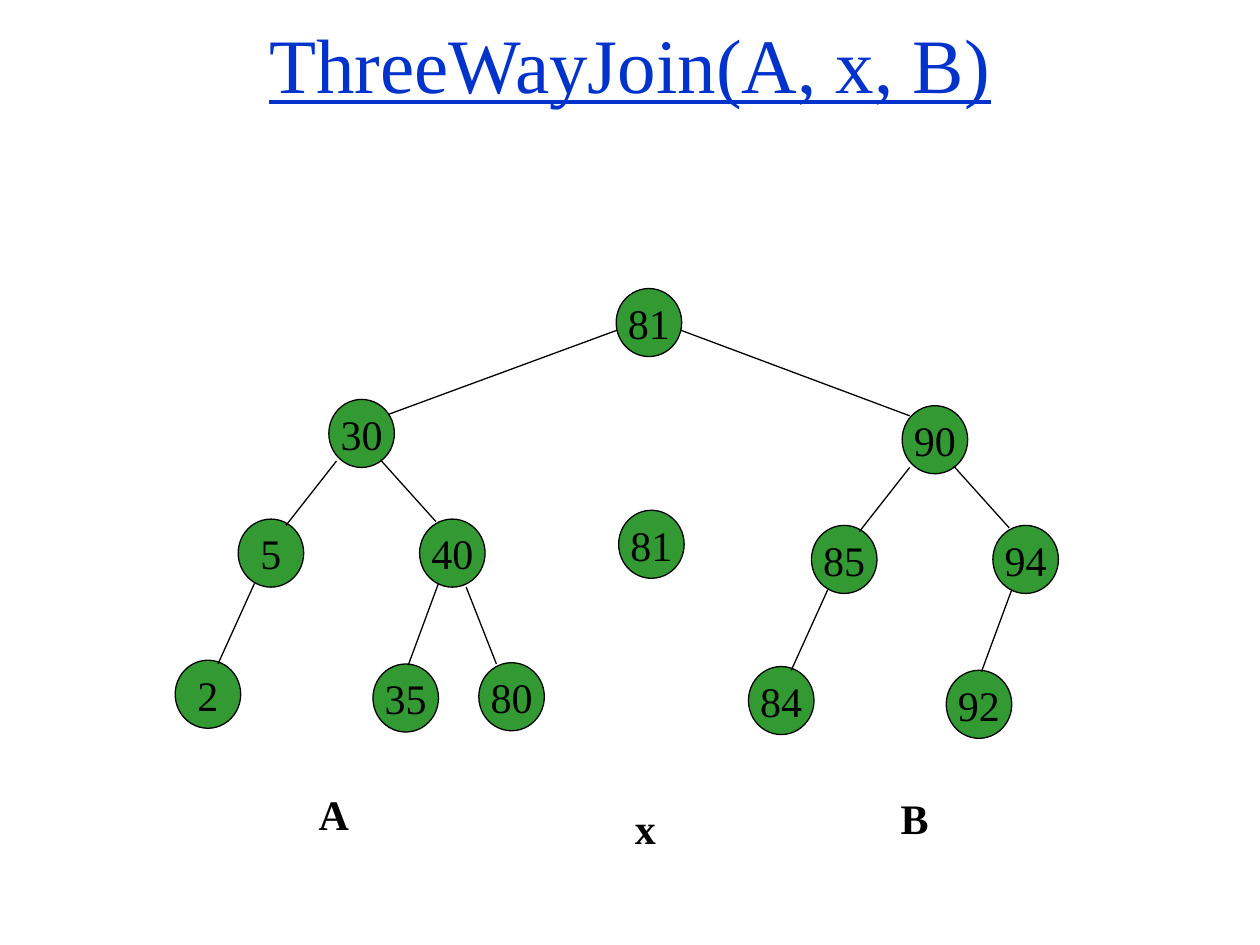
from pptx import Presentation, util as u
from pptx.dml.color import RGBColor
from pptx.enum import shapes, text
from pptx.oxml.ns import qn
from lxml import etree

COLORS = {"title": "0033CC", "node": "339933", "ink": "000000"}
FONT = "Times New Roman"
NODE_SIZE = (0.52, 0.54)
LABEL_SIZE = (0.49, 0.5)

TITLE = "ThreeWayJoin(A, x, B)"
# Both trees share one layout, given as offsets from the root's top left corner.
NODE_OFFSETS = {
    "root": (0, 0), "left": (-0.72, 0.95), "right": (0.72, 0.95),
    "left.left": (-1.22, 2.07), "right.left": (0.35, 2.1), "right.right": (1.19, 2.09),
}
# The edge that leads down to each child: start and end offsets.
EDGE_OFFSETS = {
    "left": ((0.06, 0.49), (-0.34, 1)),
    "right": ((0.41, 0.48), (0.85, 0.97)),
    "left.left": ((-0.59, 1.46), (-0.88, 2.1)),
    "right.left": ((0.87, 1.46), (0.63, 2.11)),
    "right.right": ((1.09, 1.49), (1.33, 2.1)),
}
TREES = [
    ((2.61, 3.17), {"root": "30", "left": "5", "right": "40",
                    "left.left": "2", "right.left": "35", "right.right": "80"}),
    ((7.16, 3.22), {"root": "90", "left": "85", "right": "94",
                    "left.left": "84", "right.left": "92"}),
]
SINGLE_NODES = [("81", (4.91, 4.05)), ("81", (4.89, 2.29))]
JOIN_EDGES = [((4.9, 2.62), (3.08, 3.29)), ((5.4, 2.62), (7.22, 3.3))]
LABELS = [("A", (2.43, 6.21)), ("B", (7.05, 6.24)), ("x", (4.94, 6.32))]


def inches(*values):
    return [u.Inches(value) for value in values]


def shift(origin, offset):
    return origin[0] + offset[0], origin[1] + offset[1]


def write(box, words, size, color, align, bold=False, underline=False):
    para = box.text_frame.paragraphs[0]
    para.alignment = align
    span = para.add_run()
    span.text = words
    font = span.font
    font.name, font.size, font.bold, font.underline = FONT, u.Pt(size), bold, underline
    font.color.rgb = RGBColor.from_string(COLORS[color])


def draw_outline(line):
    line.color.rgb = RGBColor.from_string(COLORS["ink"])
    line.width = u.Pt(0.75)


def add_node(page, value, place):
    node = page.shapes.add_shape(shapes.MSO_SHAPE.OVAL, *inches(*place, *NODE_SIZE))
    node.shadow.inherit = False
    node.fill.solid()
    node.fill.fore_color.rgb = RGBColor.from_string(COLORS["node"])
    draw_outline(node.line)
    node.text_frame.word_wrap = False
    node.text_frame.vertical_anchor = text.MSO_ANCHOR.MIDDLE
    write(node, value, 24, "ink", text.PP_ALIGN.CENTER)


def add_edge(page, start, end):
    edge = page.shapes.add_connector(shapes.MSO_CONNECTOR.STRAIGHT, *inches(*start, *end))
    draw_outline(edge.line)
    etree.SubElement(edge._element.spPr, qn("a:effectLst"))


def add_tree(page, origin, values):
    for position, value in values.items():
        add_node(page, value, shift(origin, NODE_OFFSETS[position]))
        if position in EDGE_OFFSETS:
            add_edge(page, *(shift(origin, end) for end in EDGE_OFFSETS[position]))


def add_label(page, words, place):
    label = page.shapes.add_textbox(*inches(*place, *LABEL_SIZE))
    label.text_frame.word_wrap = True
    label.text_frame.auto_size = text.MSO_AUTO_SIZE.SHAPE_TO_FIT_TEXT
    write(label, words, 24, "ink", text.PP_ALIGN.LEFT, bold=True)


def main():
    deck = Presentation()
    deck.slide_width, deck.slide_height = inches(10, 7.5)
    page = deck.slides.add_slide(deck.slide_layouts.get_by_name("Title Only"))

    title = page.shapes.title
    title.left, title.top, title.width, title.height = inches(0, 0, 10, 1)
    title.text_frame.vertical_anchor = text.MSO_ANCHOR.MIDDLE
    write(title, TITLE, 44, "title", text.PP_ALIGN.CENTER, underline=True)

    for origin, values in TREES:
        add_tree(page, origin, values)
    for value, place in SINGLE_NODES:
        add_node(page, value, place)
    for words, place in LABELS:
        add_label(page, words, place)
    for start, end in JOIN_EDGES:
        add_edge(page, start, end)

    deck.save("out.pptx")


if __name__ == "__main__":
    main()
